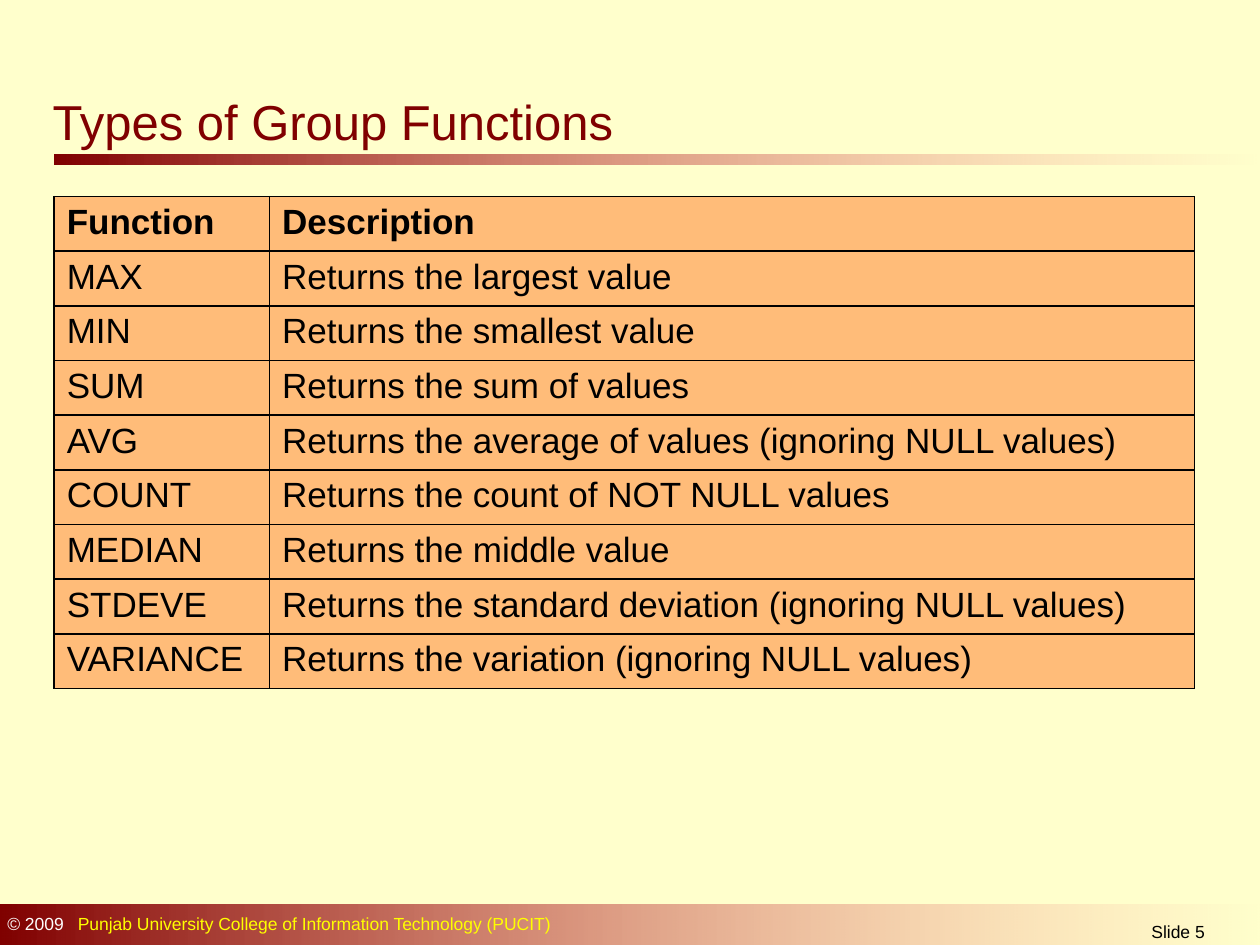
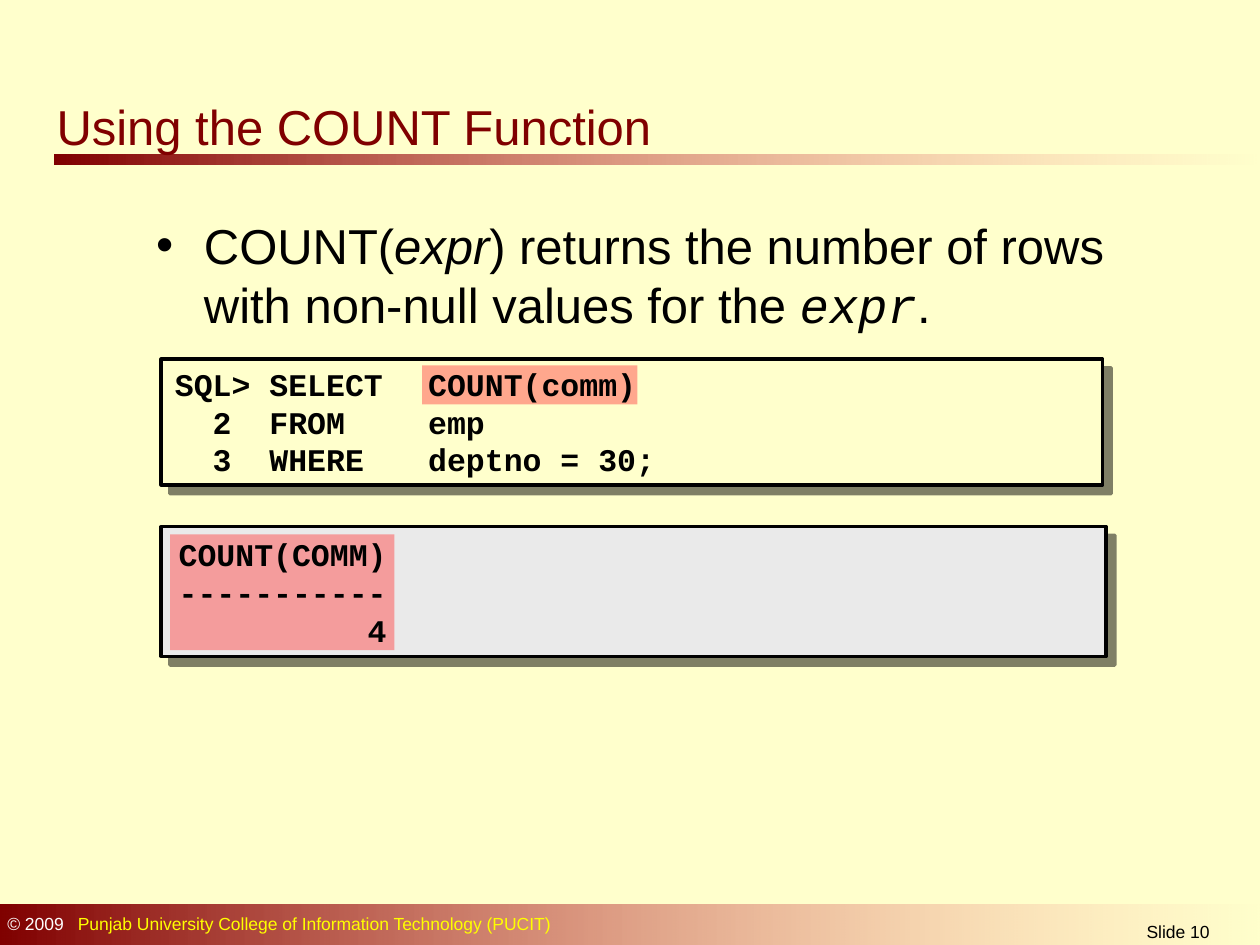
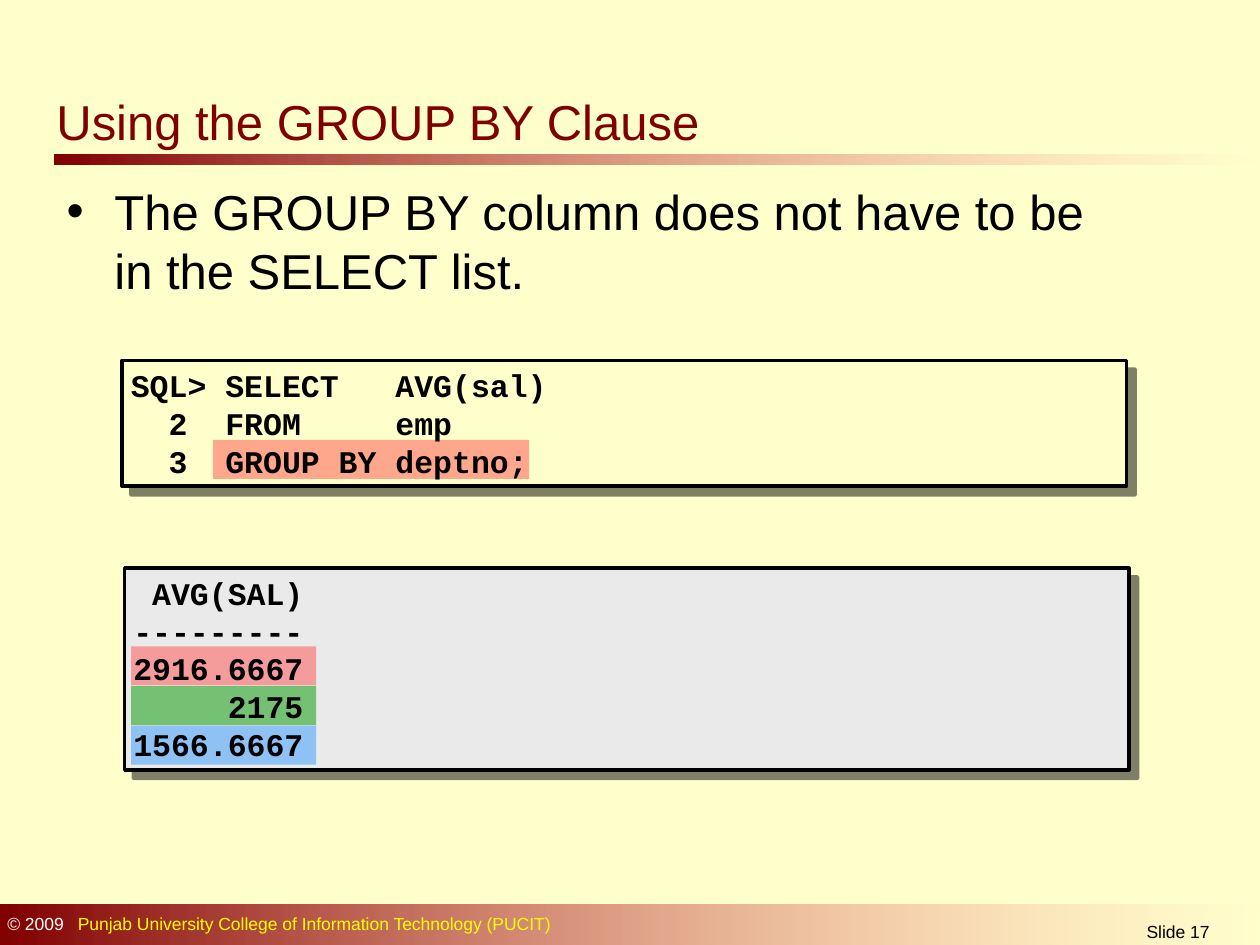
"""Builds three slides on SQL group functions."""
from dataclasses import dataclass

from lxml import etree
from pptx import Presentation
from pptx.dml.color import RGBColor
from pptx.enum.shapes import MSO_SHAPE
from pptx.enum.text import MSO_ANCHOR, PP_ALIGN
from pptx.oxml.ns import qn
from pptx.util import Emu, Inches, Pt

RECTANGLE = MSO_SHAPE.RECTANGLE
TOP = MSO_ANCHOR.TOP
MIDDLE = MSO_ANCHOR.MIDDLE
CENTER = PP_ALIGN.CENTER


@dataclass(frozen=True)
class Theme:
    """Colours, fonts and type sizes of the deck."""
    background: str = "FFFFCC"
    maroon: str = "800000"
    fade: str = "FF8585"
    black: str = "000000"
    white: str = "FFFFFF"
    yellow: str = "FFFF00"
    table: str = "FFBC79"
    result: str = "EAEAEA"
    red: str = "FF5050"
    green: str = "009900"
    blue: str = "3399FF"
    sans: str = "Arial"
    mono: str = "Courier New"
    heading: int = 28
    cell: int = 20
    code: int = 18
    footer: int = 10


THEME = Theme()

FUNCTIONS = [
    ("Function", "Description"),
    ("MAX", "Returns the largest value"),
    ("MIN", "Returns the smallest value"),
    ("SUM", "Returns the sum of values"),
    ("AVG", "Returns the average of values (ignoring NULL values)"),
    ("COUNT", "Returns the count of NOT NULL values"),
    ("MEDIAN", "Returns the middle value"),
    ("STDEVE", "Returns the standard deviation (ignoring NULL values)"),
    ("VARIANCE", "Returns the variation (ignoring NULL values)"),
]


def add_xml(parent, tag, **attributes):
    """Append a DrawingML element and return it."""
    names = {key: str(value) for key, value in attributes.items()}
    return etree.SubElement(parent, qn(f"a:{tag}"), names)


def set_font(font, size, color=THEME.black, name=THEME.sans, bold=False):
    """Set the look of a paragraph or run font."""
    font.size = Pt(size)
    font.name = name
    font.bold = bold
    font.color.rgb = RGBColor.from_string(color)


def add_tabs(para, *stops):
    """Add left tab stops, given in inches."""
    tabs = add_xml(para._p.get_or_add_pPr(), "tabLst")
    for stop in stops:
        add_xml(tabs, "tab", pos=Inches(stop), algn="l")


def add_box(page, left, top, width, height, anchor=TOP):
    """Add a wrapping text box and return its frame."""
    box = page.shapes.add_textbox(Inches(left), Inches(top), Inches(width), Inches(height))
    frame = box.text_frame
    frame.word_wrap = True
    frame.vertical_anchor = anchor
    return frame


def add_rectangle(page, left, top, width, height):
    """Add a rectangle without line or shadow."""
    shape = page.shapes.add_shape(
        RECTANGLE, Inches(left), Inches(top), Inches(width), Inches(height))
    shape.shadow.inherit = False
    shape.line.fill.background()
    return shape


def add_band(page, left, top, width, height):
    """Add a band fading from maroon to clear."""
    fill = add_rectangle(page, left, top, width, height).fill
    fill.gradient()
    fill.gradient_angle = 0
    for stop, color, position in zip(fill.gradient_stops, (THEME.maroon, THEME.fade), (0, 1)):
        stop.color.rgb = RGBColor.from_string(color)
        stop.position = position
    color_nodes = list(fill._xPr.iter(qn("a:srgbClr")))
    add_xml(color_nodes[-1], "alpha", val=0)


def add_highlight(page, left, top, width, height=0.31, color=THEME.red):
    """Add a half-transparent marker rectangle."""
    shape = add_rectangle(page, left, top, width, height)
    shape.fill.solid()
    shape.fill.fore_color.rgb = RGBColor.from_string(color)
    add_xml(next(shape._element.spPr.iter(qn("a:srgbClr"))), "alpha", val=50000)


def add_panel(page, left, top, width, height, color):
    """Add an outlined panel with a hard shadow."""
    panel = add_rectangle(page, left, top, width, height)
    panel.fill.solid()
    panel.fill.fore_color.rgb = RGBColor.from_string(color)
    panel.line.color.rgb = RGBColor.from_string(THEME.black)
    panel.line.width = Pt(2)
    effects = panel._element.spPr.find(qn("a:effectLst"))
    shadow = add_xml(effects, "outerShdw", blurRad=0, dist=Pt(7.1), dir=45 * 60000,
                     algn="ctr", rotWithShape=0)
    add_xml(add_xml(shadow, "srgbClr", val=THEME.black), "alpha", val=50000)


def add_title(page, text, left, top, width, height):
    """Add the slide title."""
    para = add_box(page, left, top, width, height).paragraphs[0]
    para.text = text
    set_font(para.font, THEME.heading, THEME.maroon)


def add_bullet(page, left, top, width, height, spans):
    """Add a bulleted paragraph of (text, font name, italic) spans."""
    para = add_box(page, left, top, width, height).paragraphs[0]
    properties = para._p.get_or_add_pPr()
    properties.set("marL", str(Inches(0.38)))
    properties.set("indent", str(-Inches(0.38)))
    add_xml(properties, "buFont", typeface=THEME.sans)
    add_xml(properties, "buChar", char="•")
    set_font(para.font, THEME.heading)
    for text, name, italic in spans:
        span = para.add_run()
        span.text = text
        span.font.name = name
        span.font.italic = italic


def add_code(page, left, top, width, height, lines, anchor=MIDDLE):
    """Add lines of code in the fixed-width font."""
    frame = add_box(page, left, top, width, height, anchor)
    for index, line in enumerate(lines):
        para = frame.add_paragraph() if index else frame.paragraphs[0]
        para.text = line
        add_tabs(para, 0.75, 2.01)
        set_font(para.font, THEME.code, name=THEME.mono, bold=True)


def style_cell(cell, text, bold):
    """Fill in, border and colour one table cell."""
    cell.text = text
    set_font(cell.text_frame.paragraphs[0].font, THEME.cell, bold=bold)
    properties = cell._tc.get_or_add_tcPr()
    for side in ("lnL", "lnR", "lnT", "lnB"):
        line = add_xml(properties, side, w=Pt(1))
        add_xml(add_xml(line, "solidFill"), "srgbClr", val=THEME.black)
    cell.fill.solid()
    cell.fill.fore_color.rgb = RGBColor.from_string(THEME.table)


def add_function_table(page, left, top, widths, height, rows):
    """Add the table of functions with a bold first row."""
    frame = page.shapes.add_table(len(rows), len(widths), Inches(left), Inches(top),
                                  Inches(sum(widths)), Inches(height))
    table = frame.table
    for column, width in zip(table.columns, widths):
        column.width = Inches(width)
    for row in table.rows:
        row.height = Emu(Inches(height) // len(rows))
    for row_index, row in enumerate(rows):
        for column_index, text in enumerate(row):
            style_cell(table.cell(row_index, column_index), text, row_index == 0)


def add_footer(page, number):
    """Add the footer band, its credit line and the slide number."""
    add_band(page, 0, 7.18, 10.03, 0.35)
    credit = add_box(page, -0.04, 7.2, 6.46, 0.27).paragraphs[0]
    add_tabs(credit, 0.56)
    for text, color in (
            ("© 2009\t", THEME.white),
            ("Punjab University College of Information Technology (PUCIT)", THEME.yellow)):
        span = credit.add_run()
        span.text = text
        set_font(span.font, THEME.footer, color)
    para = add_box(page, 8.31, 7.26, 2.08, 0.24).paragraphs[0]
    para.text = f"Slide {number}"
    para.alignment = CENTER
    set_font(para.font, THEME.footer)


def add_page(deck, number):
    """Add a blank page with the shared background, rule and footer."""
    page = deck.slides.add_slide(deck.slide_layouts[6])
    page.background.fill.solid()
    page.background.fill.fore_color.rgb = RGBColor.from_string(THEME.background)
    add_band(page, 0.43, 1.23, 9.57, 0.08)
    add_footer(page, number)
    return page


def build_types(deck):
    """Build the page listing the group functions."""
    page = add_page(deck, 5)
    add_title(page, "Types of Group Functions", 0.32, 0.68, 5.39, 0.66)
    add_function_table(page, 0.43, 1.56, (1.71, 7.34), 3.9, FUNCTIONS)


def build_count(deck):
    """Build the page on COUNT."""
    page = add_page(deck, 10)
    add_panel(page, 1.28, 2.85, 7.47, 1, THEME.background)
    add_panel(page, 1.28, 4.18, 7.5, 1.03, THEME.result)
    add_highlight(page, 3.35, 2.9, 1.71)
    add_highlight(page, 1.35, 4.24, 1.78, 0.92)
    add_title(page, "Using the COUNT Function", 0.35, 0.72, 5.39, 0.51)
    add_bullet(page, 1.14, 1.66, 8.08, 1.04, [
        ("COUNT(", THEME.sans, False),
        ("expr", THEME.sans, True),
        (") returns the number of rows with non-null values for the ", THEME.sans, False),
        ("expr", THEME.mono, True),
        (".", THEME.sans, False),
    ])
    add_code(page, 1.29, 2.83, 7.5, 1.03, [
        "SQL> SELECT\tCOUNT(comm)",
        "  2  FROM\temp",
        "  3  WHERE\tdeptno = 30;",
    ])
    add_code(page, 1.32, 4.2, 7.47, 1, ["COUNT(COMM)", "-----------", "          4"], TOP)


def build_group_by(deck):
    """Build the page on GROUP BY."""
    page = add_page(deck, 17)
    add_panel(page, 0.97, 2.86, 7.97, 1, THEME.background)
    add_panel(page, 0.99, 4.51, 7.97, 1.6, THEME.result)
    add_title(page, "Using the GROUP BY Clause", 0.35, 0.68, 5.63, 0.66)
    add_bullet(page, 0.43, 1.39, 8.29, 1.03, [
        ("The GROUP BY column does not have to be in the SELECT list.", THEME.sans, False),
    ])
    add_highlight(page, 1.69, 3.49, 2.51)
    for index, color in enumerate((THEME.red, THEME.green, THEME.blue)):
        add_highlight(page, 1.04, 5.13 + 0.315 * index, 1.47, color=color)
    add_code(page, 0.94, 2.84, 8, 1.03, [
        "SQL> SELECT   AVG(sal)",
        "  2  FROM     emp",
        "  3  GROUP BY deptno;",
    ])
    add_code(page, 0.96, 4.49, 8, 1.63, [
        " AVG(SAL)",
        "---------",
        "2916.6667",
        "     2175",
        "1566.6667",
    ])


def main():
    """Build and save the deck."""
    deck = Presentation()
    deck.slide_width = Inches(10)
    deck.slide_height = Inches(7.5)
    build_types(deck)
    build_count(deck)
    build_group_by(deck)
    deck.save("out.pptx")


if __name__ == "__main__":
    main()
